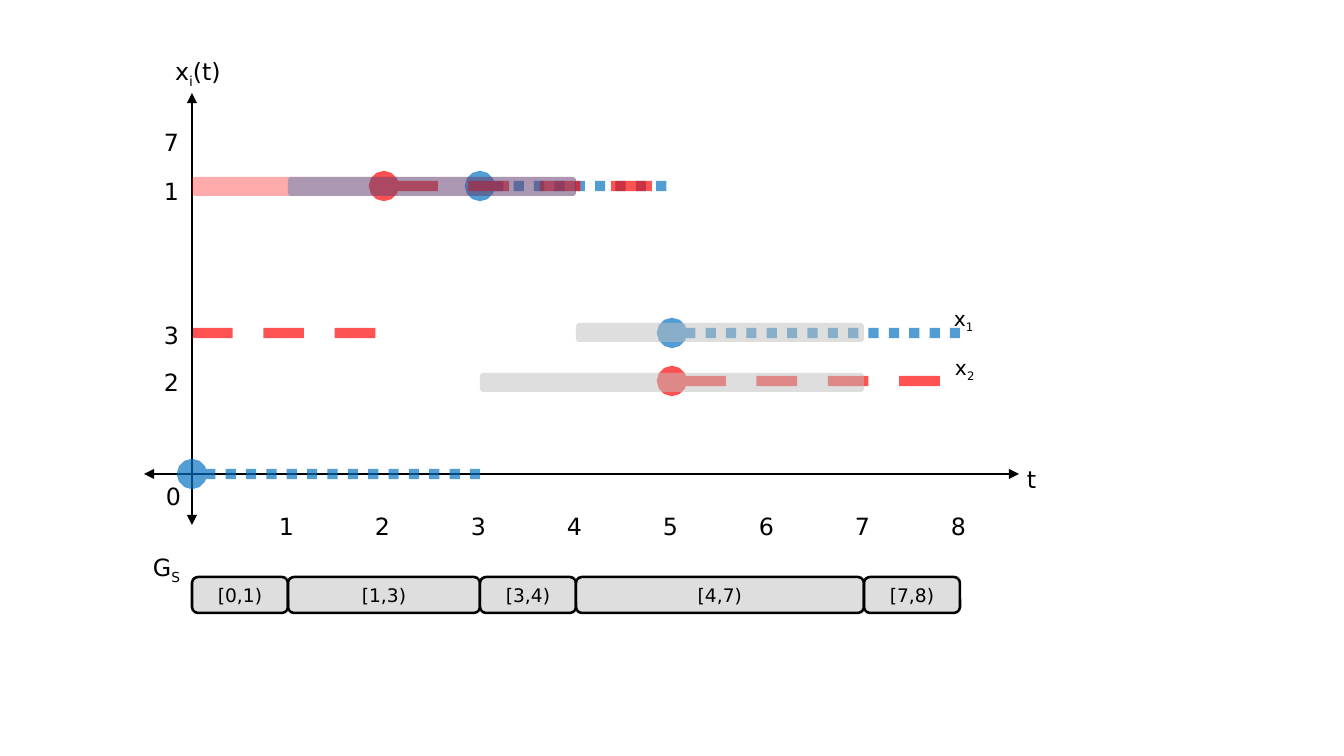
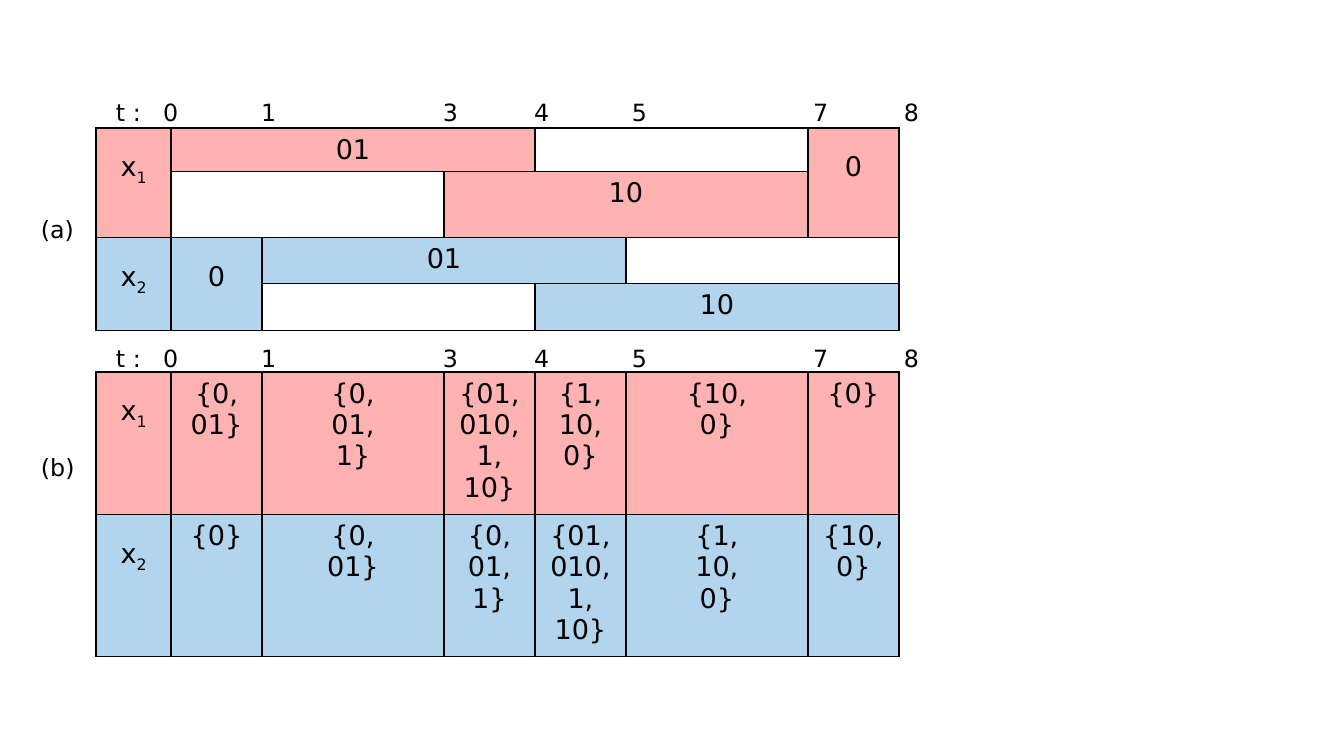
from lxml import etree
from pptx import Presentation
from pptx import util as u
from pptx.dml.color import RGBColor
from pptx.enum import dml, shapes, text
from pptx.oxml.ns import qn

FONT = "DejaVu Sans"
COLORS = {
    "ink": "000000", "red": "FF0000", "blue": "0070C0", "gray": "BFBFBF",
    "pale red": "FFB2B2", "pale blue": "B2D4EC", "white": "FFFFFF",
}
EMU_PER_PX = 914400 / 122
SLIDE_W, SLIDE_H = 1344, 756

# Plot: horizontal position of t = 0, width of one time unit, height of each state
ORIGIN_X, UNIT, AXIS_Y = 192, 96, 474
LEVEL_1, LEVEL_3, LEVEL_2 = 186, 333, 381

# Tables
TABLE_X = 96
COLUMNS = [75, 91, 182, 91, 91, 182, 91]
TIME_TABS = {"t :": 37, "0": 84, "1": 182, "3": 364, "4": 455,
             "5": 553, "7": 734, "8": 825}
ENCODING_ROWS = [43, 66, 46, 47]
ENCODING = {  # (row, column): text, colour, rows spanned, columns spanned
    (0, 0): ("x_1", "pale red", 2, 1),
    (0, 1): ("01", "pale red", 1, 3),
    (0, 4): ("", "white", 1, 2),
    (0, 6): ("0", "pale red", 2, 1),
    (1, 1): ("", "white", 1, 2),
    (1, 3): ("10", "pale red", 1, 3),
    (2, 0): ("x_2", "pale blue", 2, 1),
    (2, 1): ("0", "pale blue", 2, 1),
    (2, 2): ("01", "pale blue", 1, 3),
    (2, 5): ("", "white", 1, 2),
    (3, 2): ("", "white", 1, 2),
    (3, 4): ("10", "pale blue", 1, 3),
}
SET_ROWS = [137, 137]
SETS = {
    "pale red": ["x_1", "{0,\n01}", "{0,\n01,\n1}", "{01,\n010,\n1,\n10}",
                 "{1,\n10,\n0}", "{10,\n0}", "{0}"],
    "pale blue": ["x_2", "{0}", "{0,\n01}", "{0,\n01,\n1}",
                  "{01,\n010,\n1,\n10}", "{1,\n10,\n0}", "{10,\n0}"],
}


def px(length):
    return u.Emu(round(length * EMU_PER_PX))


def rgb(name):
    return RGBColor.from_string(COLORS[name])


def time_x(t):
    return ORIGIN_X + t * UNIT


def set_alpha(parent, percent):
    color = next(parent.iter(qn("a:srgbClr")))
    etree.SubElement(color, qn("a:alpha"), val=str(percent * 1000))


def write(frame, content, size=14, align=text.PP_ALIGN.LEFT):
    """Fill a text frame; an underscore makes the next character a subscript."""
    frame.word_wrap = True
    for i, line in enumerate(content.split("\n")):
        paragraph = frame.add_paragraph() if i else frame.paragraphs[0]
        paragraph.alignment = align
        first, *rest = line.split("_")
        pieces = [(first, False)]
        for part in rest:
            pieces += [(part[0], True), (part[1:], False)]
        for piece, lowered in pieces:
            if not piece:
                continue
            run = paragraph.add_run()
            run.text = piece
            run.font.name = FONT
            run.font.size = u.Pt(size)
            run.font.color.rgb = rgb("ink")
            if lowered:
                run.font._element.set("baseline", "-25000")


def add_label(slide, content, x, y, w=41, h=37, **style):
    label = slide.shapes.add_textbox(px(x), px(y), px(w), px(h))
    write(label.text_frame, content, **style)
    return label


def add_line(slide, start, end, color="ink", width=1.25, dash=None,
             head=None, tail=None, alpha=None):
    line = slide.shapes.add_connector(
        shapes.MSO_CONNECTOR.STRAIGHT, *map(px, (*start, *end)))
    line.line.color.rgb = rgb(color)
    line.line.width = u.Pt(width)
    if dash is not None:
        line.line.dash_style = dash
    properties = line._element.spPr
    outline = properties.find(qn("a:ln"))
    for tag, kind in (("a:headEnd", head), ("a:tailEnd", tail)):
        if kind:
            etree.SubElement(outline, qn(tag), type=kind)
    if alpha:
        set_alpha(outline, alpha)
    etree.SubElement(properties, qn("a:effectLst"))


def add_signal(slide, t_start, t_end, y, color, head="oval"):
    dash = dml.MSO_LINE.DASH if color == "red" else dml.MSO_LINE.ROUND_DOT
    add_line(slide, (time_x(t_start), y), (time_x(t_end), y), color=color,
             width=6, dash=dash, head=head, alpha=67)


def add_interval(slide, t_start, t_end, y, h, color="gray", alpha=50, caption=""):
    """Draw a rounded bar over a time span, outlined when it has a caption."""
    bar = slide.shapes.add_shape(
        shapes.MSO_SHAPE.ROUNDED_RECTANGLE, px(time_x(t_start)), px(y),
        px((t_end - t_start) * UNIT), px(h))
    bar.shadow.inherit = False
    bar.fill.solid()
    bar.fill.fore_color.rgb = rgb(color)
    set_alpha(bar._element.spPr, alpha)
    if caption:
        bar.line.color.rgb = rgb("ink")
        bar.line.width = u.Pt(1.5)
        bar.text_frame.vertical_anchor = text.MSO_ANCHOR.MIDDLE
        write(bar.text_frame, caption, size=11, align=text.PP_ALIGN.CENTER)
    else:
        bar.line.fill.background()


def add_time_header(slide, y):
    header = add_label(slide, "\t" + "\t".join(TIME_TABS), 67, y, 870, 31)
    properties = header.text_frame.paragraphs[0]._p.get_or_add_pPr()
    stops = etree.SubElement(properties, qn("a:tabLst"))
    for position in TIME_TABS.values():
        etree.SubElement(stops, qn("a:tab"), pos=str(px(position)), algn="l")


def add_borders(cell):
    properties = cell._tc.get_or_add_tcPr()
    for i, side in enumerate(("a:lnL", "a:lnR", "a:lnT", "a:lnB")):
        border = etree.Element(qn(side), w=str(u.Pt(1)))
        fill = etree.SubElement(border, qn("a:solidFill"))
        etree.SubElement(fill, qn("a:srgbClr"), val=COLORS["ink"])
        properties.insert(i, border)


def add_grid(slide, y, heights, cells):
    table = slide.shapes.add_table(
        len(heights), len(COLUMNS), px(TABLE_X), px(y),
        px(sum(COLUMNS)), px(sum(heights))).table
    table.first_row = table.horz_banding = False
    for column, width in zip(table.columns, COLUMNS):
        column.width = px(width)
    for row, height in zip(table.rows, heights):
        row.height = px(height)
    for (r, c), (content, color, rows, columns) in cells.items():
        cell = table.cell(r, c)
        if rows * columns > 1:
            cell.merge(table.cell(r + rows - 1, c + columns - 1))
        cell.fill.solid()
        cell.fill.fore_color.rgb = rgb(color)
        if rows > 1 or c == 0:
            cell.margin_top = px(24)
        if content:
            write(cell.text_frame, content, size=16, align=text.PP_ALIGN.CENTER)
    for cell in table.iter_cells():
        add_borders(cell)
        if not cell.text:  # keeps empty cells from stretching their row
            etree.SubElement(cell.text_frame.paragraphs[0]._p,
                             qn("a:endParaRPr"), sz="900")


def build_plot(slide):
    add_signal(slide, 3, 5, LEVEL_1, "blue")
    add_signal(slide, 5, 8, LEVEL_3, "blue")
    add_signal(slide, 0, 2, LEVEL_3, "red", head=None)
    add_signal(slide, 2, 5, LEVEL_1, "red")
    add_signal(slide, 5, 8, LEVEL_2, "red")
    for start, end in (((ORIGIN_X, 93), (ORIGIN_X, 525)),
                       ((1019, AXIS_Y), (144, AXIS_Y))):
        add_line(slide, start, end, head="triangle", tail="triangle")

    for state, y in (("7", 122), ("1", 171), ("3", 315), ("2", 362)):
        add_label(slide, state, 152, y)
    for t in range(1, 9):
        add_label(slide, str(t), time_x(t) - 21, 506)
    add_label(slide, "t", 1015, 459)
    add_label(slide, "x_i(t)", 163, 51, w=77)
    add_label(slide, "x_1", 942, 300, w=51, size=12)
    add_label(slide, "x_2", 943, 349, w=51, size=12)

    add_interval(slide, 0, 4, 177, 19, "red", 33)
    add_interval(slide, 3, 7, 373, 19)
    add_interval(slide, 1, 4, 177, 19, "blue", 33)
    add_interval(slide, 4, 7, 323, 19)
    add_label(slide, "0", 154, 476)

    cuts = [0, 1, 3, 4, 7, 8]
    for start, end in zip(cuts, cuts[1:]):
        add_interval(slide, start, end, 577, 36, caption=f"[{start},{end})")
    add_label(slide, "G_S", 141, 547, w=63)
    add_signal(slide, 0, 3, AXIS_Y, "blue")


def build_tables(slide):
    sets = {(r, c): (content, color, 1, 1)
            for r, (color, contents) in enumerate(SETS.items())
            for c, content in enumerate(contents)}
    for caption, caption_y, header_y, table_y, heights, cells in (
            ("(a)", 209, 92, 128, ENCODING_ROWS, ENCODING),
            ("(b)", 447, 338, 372, SET_ROWS, sets)):
        add_grid(slide, table_y, heights, cells)
        add_label(slide, caption, 29, caption_y, w=63)
        add_time_header(slide, header_y)


def main():
    deck = Presentation()
    deck.slide_width, deck.slide_height = px(SLIDE_W), px(SLIDE_H)
    blank = deck.slide_layouts[6]
    for build in (build_plot, build_tables):
        build(deck.slides.add_slide(blank))
    deck.save("out.pptx")


if __name__ == "__main__":
    main()
